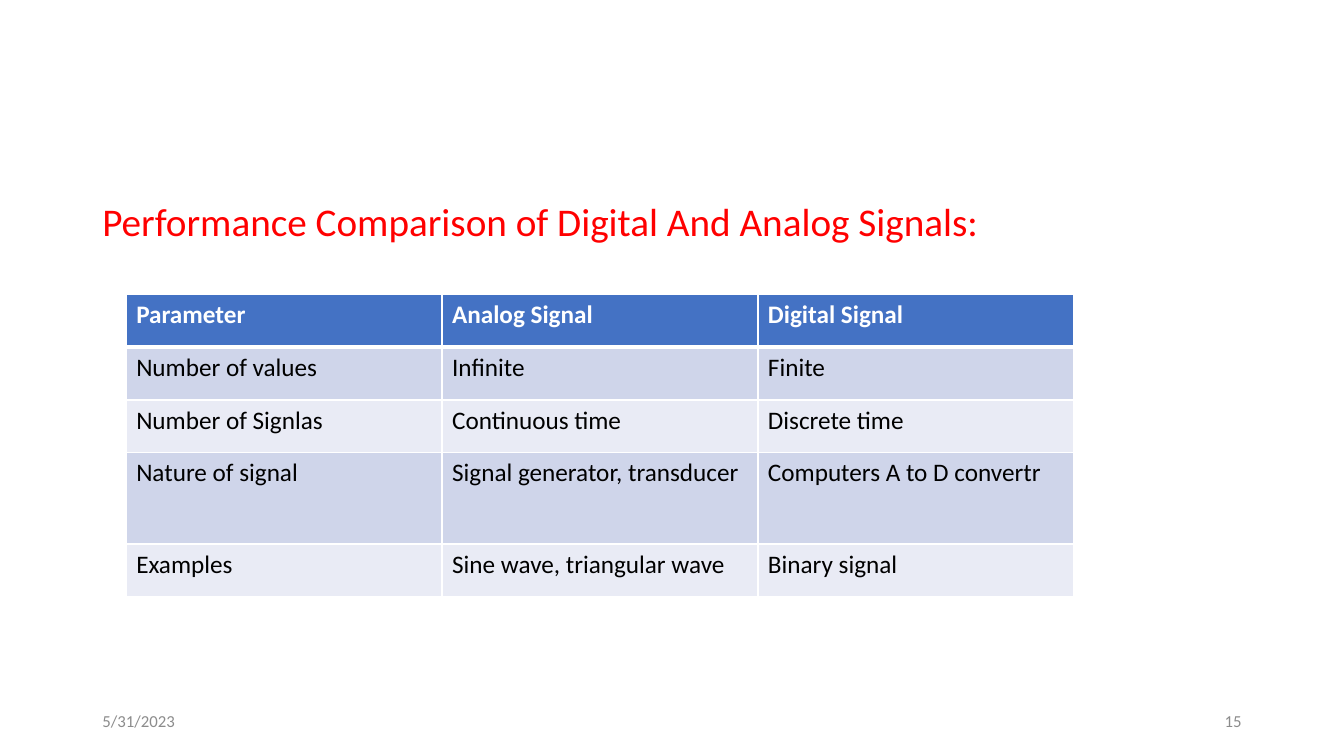
from lxml import etree
from pptx import Presentation
from pptx import util as u
from pptx.dml import color
from pptx.enum import text
from pptx.oxml import ns

ROWS = [
    ("Parameter", "Analog Signal", "Digital Signal"),
    ("Number of values", "Infinite", "Finite"),
    ("Number of Signlas", "Continuous time", "Discrete time"),
    ("Nature of signal", "Signal generator, transducer", "Computers A to D convertr"),
    ("Examples", "Sine wave, triangular wave", "Binary signal"),
]
ROW_HEIGHTS = [1.33, 1.33, 1.33, 2.3, 1.33]
HEADER_FILL = "4472C4"
BAND_FILLS = ["E9EBF5", "CFD5EA"]


def rgb(value):
    """Turn a hex string into a colour."""
    return color.RGBColor.from_string(value)


def style_font(paragraph, size, hex_color, bold=False):
    """Set the font of a whole paragraph."""
    font = paragraph.font
    font.name = "Calibri"
    font.size = u.Pt(size)
    font.bold = bold
    font.color.rgb = rgb(hex_color)


def add_text(slide, box, content, size, hex_color,
             anchor=text.MSO_ANCHOR.MIDDLE, align=text.PP_ALIGN.LEFT):
    """Place one line of text in a box and return its paragraph."""
    shape = slide.shapes.add_textbox(*map(u.Cm, box))
    frame = shape.text_frame
    frame.word_wrap = True
    frame.vertical_anchor = anchor
    paragraph = frame.paragraphs[0]
    paragraph.text = content
    paragraph.alignment = align
    style_font(paragraph, size, hex_color)
    return paragraph


def add_border(cell, side, width):
    """Draw a white border on one side of a cell."""
    properties = cell._tc.get_or_add_tcPr()
    line = etree.SubElement(properties, ns.qn(f"a:ln{side}"), w=str(u.Pt(width)))
    fill = etree.SubElement(line, ns.qn("a:solidFill"))
    etree.SubElement(fill, ns.qn("a:srgbClr"), val="FFFFFF")


def add_heading(slide, box):
    """Place the red heading at the top of the body box."""
    paragraph = add_text(slide, box, "Performance Comparison of Digital And Analog Signals:",
                         28, "FF0000", text.MSO_ANCHOR.TOP)
    paragraph.line_spacing = 0.9
    paragraph.space_before = u.Pt(10)


def add_comparison(slide, left, top, width):
    """Place the banded comparison table."""
    height = sum(ROW_HEIGHTS)
    frame = slide.shapes.add_table(len(ROWS), len(ROWS[0]),
                                   *map(u.Cm, (left, top, width, height)))
    table = frame.table
    for column in table.columns:
        column.width = u.Cm(width / len(ROWS[0]))
    for index, (values, row_height) in enumerate(zip(ROWS, ROW_HEIGHTS)):
        table.rows[index].height = u.Cm(row_height)
        header = index == 0
        for cell, value in zip(table.rows[index].cells, values):
            for side in "LRTB":
                thick = (header and side == "B") or (index == 1 and side == "T")
                add_border(cell, side, 3 if thick else 1)
            cell.fill.solid()
            cell.fill.fore_color.rgb = rgb(HEADER_FILL if header else BAND_FILLS[index % 2])
            cell.text = value
            style_font(cell.text_frame.paragraphs[0], 18,
                       "FFFFFF" if header else "000000", header)


def add_footer(slide, left, top, width, height):
    """Place the date at the left and the slide number at the right."""
    part = 7.62
    add_text(slide, (left, top, part, height), "5/31/2023", 12, "8C8C8C")
    add_text(slide, (left + width - part, top, part, height), "15", 12, "8C8C8C",
             align=text.PP_ALIGN.RIGHT)


def main():
    """Build and save the slide."""
    presentation = Presentation()
    presentation.slide_width = u.Cm(33.87)
    presentation.slide_height = u.Cm(19.05)
    slide = presentation.slides.add_slide(presentation.slide_layouts[6])
    add_heading(slide, (2.33, 4.98, 29.21, 12.09))
    add_comparison(slide, 3.18, 7.42, 23.88)
    add_footer(slide, 2.33, 17.66, 29.21, 1.01)
    presentation.save("out.pptx")


if __name__ == "__main__":
    main()
